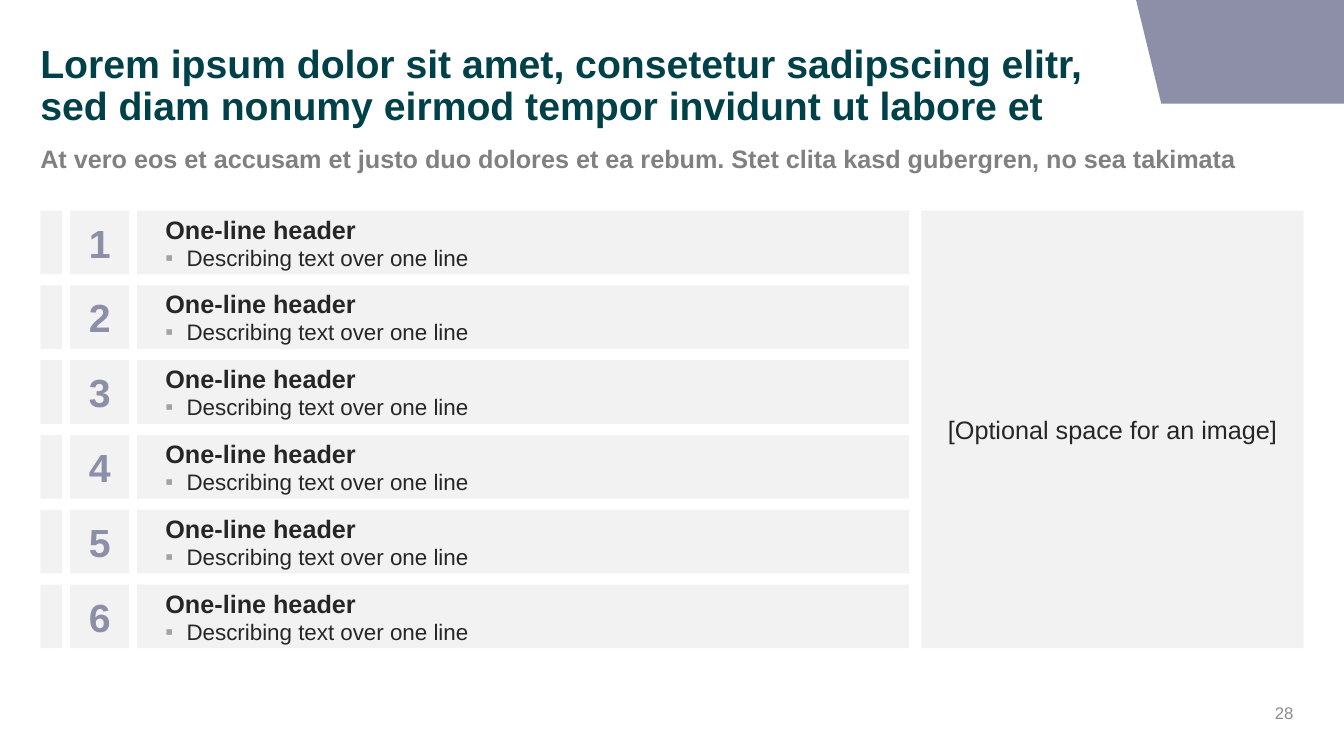
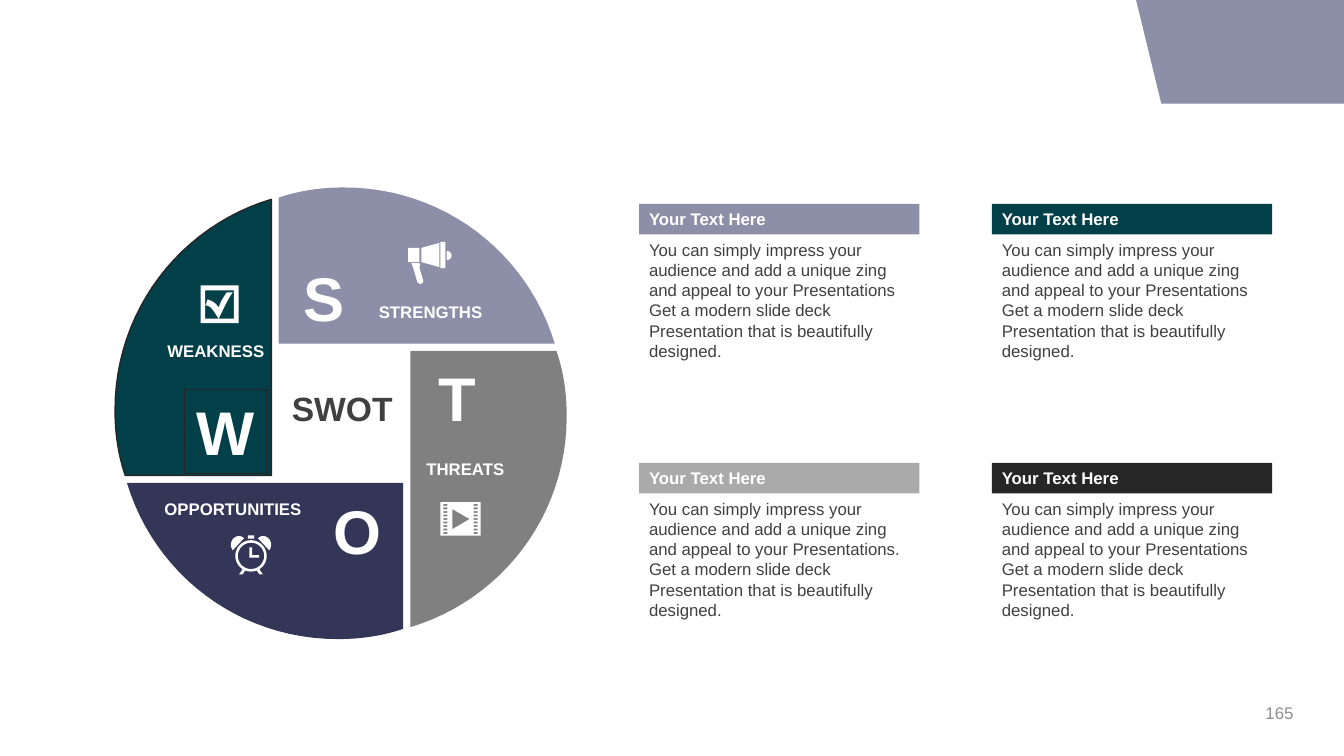
import math
from dataclasses import dataclass
from typing import Any, NamedTuple, Optional, Sequence

import lxml.etree
import pptx
import pptx.dml.color
import pptx.enum.shapes
import pptx.enum.text
import pptx.oxml.ns
import pptx.presentation
import pptx.shapes.base
import pptx.slide
import pptx.text.text
import pptx.util

Pt = pptx.util.Pt
Colour = pptx.dml.color.RGBColor
Page = pptx.slide.Slide
Align = pptx.enum.text.PP_ALIGN
Anchor = pptx.enum.text.MSO_ANCHOR

WHITE = Colour(0xFF, 0xFF, 0xFF)
PANEL = Colour(0xF2, 0xF2, 0xF2)
INK = Colour(0x25, 0x26, 0x25)
BODY = Colour(0x40, 0x40, 0x40)
GREY = Colour(0x80, 0x80, 0x80)
PAGE_NUMBER = Colour(0x8E, 0x8E, 0x8E)
BULLET = Colour(0xA2, 0xA2, 0xA2)
SILVER = Colour(0xAA, 0xAA, 0xAA)
CORNER = Colour(0x8D, 0x8E, 0xA8)
LAVENDER = Colour(0x8D, 0x8E, 0xA7)
TITLE_TEAL = Colour(0x00, 0x41, 0x49)
TEAL = Colour(0x02, 0x40, 0x49)
NAVY = Colour(0x33, 0x36, 0x57)

FONT = "Arial"
PAGE_WIDTH, PAGE_HEIGHT = 960, 540
DEFAULT_INSETS = (7.2, 3.6, 7.2, 3.6)
NO_INSETS = (0, 0, 0, 0)


class Point(NamedTuple):
    x: float
    y: float


class Frame(NamedTuple):
    left: float
    top: float
    width: float
    height: float


class Outline(NamedTuple):
    colour: Colour
    width: float


Contour = list[Point]


@dataclass(frozen=True)
class Line:
    """One paragraph with a single format."""
    text: str
    size: float
    colour: Colour
    bold: bool = False
    align: Align = Align.LEFT
    spacing: float = 1.0
    before: float = 0
    bullet: bool = False


@dataclass(frozen=True)
class Sector:
    letter: str
    letter_at: Point
    label: str
    label_frame: Frame
    label_align: Align
    fill: Colour
    quarter_turns: int
    icon_at: Point
    icon: Sequence[Contour]
    outlined: bool = False


@dataclass(frozen=True)
class Card:
    fill: Colour
    stop: str = ""


def apply_format(target: Any, values: dict[str, Any]) -> None:
    for name, value in values.items():
        setattr(target, name, value)


def paint(shape: pptx.shapes.base.BaseShape, fill: Optional[Colour], outline: Optional[Outline]) -> None:
    shape.shadow.inherit = False
    if fill is None:
        shape.fill.background()
    else:
        shape.fill.solid()
        shape.fill.fore_color.rgb = fill
    if outline is None:
        shape.line.fill.background()
    else:
        shape.line.color.rgb = outline.colour
        shape.line.width = Pt(outline.width)


def add_bullet(para: pptx.text.text._Paragraph) -> None:
    properties = para._p.get_or_add_pPr()
    properties.set("marL", str(Pt(15.1)))
    properties.set("indent", str(Pt(-15.1)))
    qn = pptx.oxml.ns.qn
    colour = lxml.etree.SubElement(properties, qn("a:buClr"))
    lxml.etree.SubElement(colour, qn("a:srgbClr"), val=str(BULLET))
    lxml.etree.SubElement(properties, qn("a:buFont"), typeface=FONT)
    lxml.etree.SubElement(properties, qn("a:buChar"), char="▪")


def write_lines(box: pptx.shapes.base.BaseShape, lines: Sequence[Line],
                anchor: Anchor, insets: Sequence[float]) -> None:
    sides = ("margin_left", "margin_top", "margin_right", "margin_bottom")
    apply_format(box.text_frame, {"word_wrap": True, "vertical_anchor": anchor}
                 | {side: Pt(inset) for side, inset in zip(sides, insets)})
    for index, line in enumerate(lines):
        para = box.text_frame.add_paragraph() if index else box.text_frame.paragraphs[0]
        if line.bullet:
            add_bullet(para)
        apply_format(para, {"alignment": line.align, "line_spacing": line.spacing,
                            "space_before": Pt(line.before)})
        span = para.add_run()
        span.text = line.text
        apply_format(span.font, {"name": FONT, "size": Pt(line.size), "bold": line.bold})
        span.font.color.rgb = line.colour


def add_box(page: Page, frame: Frame, lines: Sequence[Line] = (), fill: Optional[Colour] = None,
            outline: Optional[Outline] = None, anchor: Anchor = Anchor.TOP,
            insets: Sequence[float] = DEFAULT_INSETS) -> None:
    """Add a rectangle, or a text box if nothing of the frame itself is visible."""
    place = [Pt(length) for length in frame]
    if fill is None and outline is None:
        box = page.shapes.add_textbox(*place)
    else:
        box = page.shapes.add_shape(pptx.enum.shapes.MSO_SHAPE.RECTANGLE, *place)
        paint(box, fill, outline)
    if lines:
        write_lines(box, lines, anchor, insets)


def add_outline(page: Page, origin: Point, contours: Sequence[Contour], fill: Colour,
                outline: Optional[Outline] = None) -> None:
    """Add closed contours as one shape; a contour inside another cuts a hole."""
    paths = [[(Pt(origin.x + x), Pt(origin.y + y)) for x, y in contour] for contour in contours]
    builder = page.shapes.build_freeform(*paths[0][0], scale=1.0)
    for index, vertices in enumerate(paths):
        if index:
            builder.move_to(*vertices[0])
        builder.add_line_segments(vertices[1:], close=True)
    paint(builder.convert_to_shape(), fill, outline)


def polygon(*corners: tuple[float, float]) -> Contour:
    return [Point(*corner) for corner in corners]


def rectangle(left: float, top: float, width: float, height: float) -> Contour:
    right, bottom = left + width, top + height
    return polygon((left, top), (right, top), (right, bottom), (left, bottom))


def circle(radius: float, steps: int = 48) -> Contour:
    angles = [math.tau * step / steps for step in range(steps)]
    return [Point(radius * math.cos(angle), radius * math.sin(angle)) for angle in angles]


def curve(*controls: tuple[float, float], steps: int = 24) -> Contour:
    """Sample a cubic Bezier curve given by four points."""
    points = []
    for step in range(steps + 1):
        t = step / steps
        weights = ((1 - t) ** 3, 3 * t * (1 - t) ** 2, 3 * t * t * (1 - t), t ** 3)
        points.append(Point(*(sum(w * c[axis] for w, c in zip(weights, controls)) for axis in (0, 1))))
    return points


def mirror(contour: Contour) -> Contour:
    return [Point(-x, y) for x, y in contour]


def turn(contour: Contour, quarters: int) -> Contour:
    """Turn a contour clockwise about the origin."""
    for _ in range(quarters):
        contour = [Point(-y, x) for x, y in contour]
    return contour


WHEEL_CENTRE = Point(243.5, 295.2)
PETAL = (polygon((-152.8, 49.7), (44.5, 49.7))
         + curve((44.5, 154), (29.4, 159.1), (14.3, 161.3), (-2.3, 161.3))
         + curve((-2.3, 161.3), (-73.6, 161.3), (-133.3, 114.5), (-152.8, 49.7)))

CLOCK_BELL = curve((-5, -12.6), (-10, -17.5), (-17.5, -10), (-13, -4))
CLOCK_FOOT = polygon((6, 9.6), (8.6, 13.3), (6, 13.3), (4.2, 10.5))
CLOCK = [circle(11.2), circle(9.4), CLOCK_BELL, mirror(CLOCK_BELL), CLOCK_FOOT, mirror(CLOCK_FOOT),
         rectangle(-2.2, -14.7, 4.4, 2.4),
         polygon((-1.2, -6), (0.8, -6), (0.8, -0.6), (5.8, -0.6), (5.8, 1.2), (-1.2, 1.2))]
CHECKBOX = [rectangle(0, 0, 27.1, 27.1), rectangle(3.2, 3.6, 20.6, 20.2),
            curve((5, 10.1), (9.4, 11.5), (10.8, 13), (13, 15.8))
            + curve((13, 15.8), (14.4, 11.5), (15.8, 9.4), (18.7, 5))
            + curve((23, 5), (19.4, 10), (15.8, 18), (13, 23.8))
            + curve((13, 23.8), (10, 20), (8, 14.4), (3.6, 14.4))]
MEGAPHONE = [rectangle(0, 4.3, 7.9, 10.1), rectangle(23, 0, 3.6, 18.7),
             polygon((9.4, 4.3), (22.3, 0.7), (22.3, 18), (9.4, 14.4)),
             curve((27.4, 6.5), (32.1, 6.5), (32.1, 13), (27.4, 13)),
             polygon((2.2, 15.1), (7.9, 15.1), (8.6, 16.5), (7.9, 18), (10.8, 28),
                     (10.1, 29.5), (8.6, 30.2), (6.5, 28.8), (3.6, 18.7))]
FILM = [rectangle(0, 0, 28.8, 24.1), polygon((8.6, 5), (8.6, 19.4), (20.9, 12.2)),
        *(rectangle(left, 1.4 + 2.52 * row, 2.9, 1.3) for left in (2.2, 23.8) for row in range(9))]

SECTORS = (
    Sector("O", Point(226.1, 348.5), "OPPORTUNITIES", Frame(100.1, 352.8, 122.4, 21.6), Align.RIGHT,
           NAVY, 0, Point(179.3, 397.1), CLOCK),
    Sector("T", Point(297.4, 253.4), "THREATS", Frame(297.4, 324, 111.6, 21.6), Align.LEFT,
           GREY, 3, Point(314.6, 358.6), FILM),
    Sector("S", Point(202.3, 182.2), "STRENGTHS", Frame(263.5, 211.7, 126.7, 21.6), Align.LEFT,
           LAVENDER, 2, Point(291.6, 172.8), MEGAPHONE),
    Sector("W", Point(131.8, 277.9), "WEAKNESS", Frame(78.5, 239.8, 117.4, 21.6), Align.RIGHT,
           TEAL, 1, Point(143.3, 203.8), CHECKBOX, outlined=True),
)
CARDS = (Card(LAVENDER), Card(TEAL), Card(SILVER, stop="."), Card(INK))


def add_page(deck: pptx.presentation.Presentation, number: int) -> Page:
    """Add a blank page with the shared corner band and page number."""
    page = deck.slides.add_slide(deck.slide_layouts[6])
    add_outline(page, Point(811.5, 0), [polygon((148.5, 0), (148.5, 74), (18, 74), (0, 0))], CORNER)
    add_box(page, Frame(715, 500.4, 216, 17.3), [Line(str(number), 12, PAGE_NUMBER, align=Align.RIGHT)],
            anchor=Anchor.MIDDLE)
    return page


def add_list_page(deck: pptx.presentation.Presentation) -> None:
    page = add_page(deck, 28)
    title = ("Lorem ipsum dolor sit amet, consetetur sadipscing elitr, "
             "sed diam nonumy eirmod tempor invidunt ut labore et")
    subtitle = "At vero eos et accusam et justo duo dolores et ea rebum. Stet clita kasd gubergren, no sea takimata"
    add_box(page, Frame(28.8, 31.7, 782.6, 62.6), [Line(title, 28, TITLE_TEAL, True, spacing=0.9)],
            insets=NO_INSETS)
    add_box(page, Frame(28.8, 102.2, 902.9, 24.5), [Line(subtitle, 18, GREY, True)], insets=NO_INSETS)

    top, pitch, height, count = 150.5, 53.42, 45.4, 6
    item = [Line("One-line header", 18, INK, True),
            Line("Describing text over one line", 16, INK, spacing=0.9, before=1.8, bullet=True)]
    for index in range(count):
        row = top + index * pitch
        number = Line(str(index + 1), 28, LAVENDER, True, Align.CENTER)
        add_box(page, Frame(28.8, row, 15.4, height), fill=PANEL)
        add_box(page, Frame(50.2, row, 42, height), [number], PANEL, anchor=Anchor.MIDDLE)
        add_box(page, Frame(98, row, 551.5, height), item, PANEL, anchor=Anchor.MIDDLE,
                insets=(20.2, 0, 0, 0))
    add_box(page, Frame(658.1, top, 273.2, (count - 1) * pitch + height),
            [Line("[Optional space for an image]", 18, INK, align=Align.CENTER)], PANEL,
            anchor=Anchor.MIDDLE)


def add_swot_page(deck: pptx.presentation.Presentation) -> None:
    page = add_page(deck, 165)
    for sector in SECTORS:
        add_outline(page, WHEEL_CENTRE, [turn(PETAL, sector.quarter_turns)], sector.fill,
                    Outline(INK, 1) if sector.outlined else None)
        add_outline(page, sector.icon_at, sector.icon, WHITE)
        add_box(page, sector.label_frame, [Line(sector.label, 12, WHITE, True, sector.label_align)])
        add_box(page, Frame(*sector.letter_at, 58.3, 60.5),
                [Line(sector.letter, 44, WHITE, True, Align.CENTER)],
                outline=Outline(INK, 0.75) if sector.outlined else None)
    add_box(page, Frame(198, 273.6, 92.9, 36), [Line("SWOT", 24, BODY, True, Align.CENTER)])

    for index, card in enumerate(CARDS):
        row, column = divmod(index, 2)
        left, top = 456.5 + 252 * column, 145.6 + 185 * row
        text = ("You can simply impress your audience and add a unique zing and appeal to your "
                f"Presentations{card.stop} Get a modern slide deck Presentation that is beautifully designed.")
        add_box(page, Frame(left, top, 200.2, 21.8), [Line("Your Text Here", 12, WHITE, True)], card.fill)
        add_box(page, Frame(left, top + 22, 200.2, 94.3), [Line(text, 12, BODY)])


def main() -> None:
    deck = pptx.Presentation()
    apply_format(deck, {"slide_width": Pt(PAGE_WIDTH), "slide_height": Pt(PAGE_HEIGHT)})
    add_list_page(deck)
    add_swot_page(deck)
    deck.save("out.pptx")


if __name__ == "__main__":
    main()
